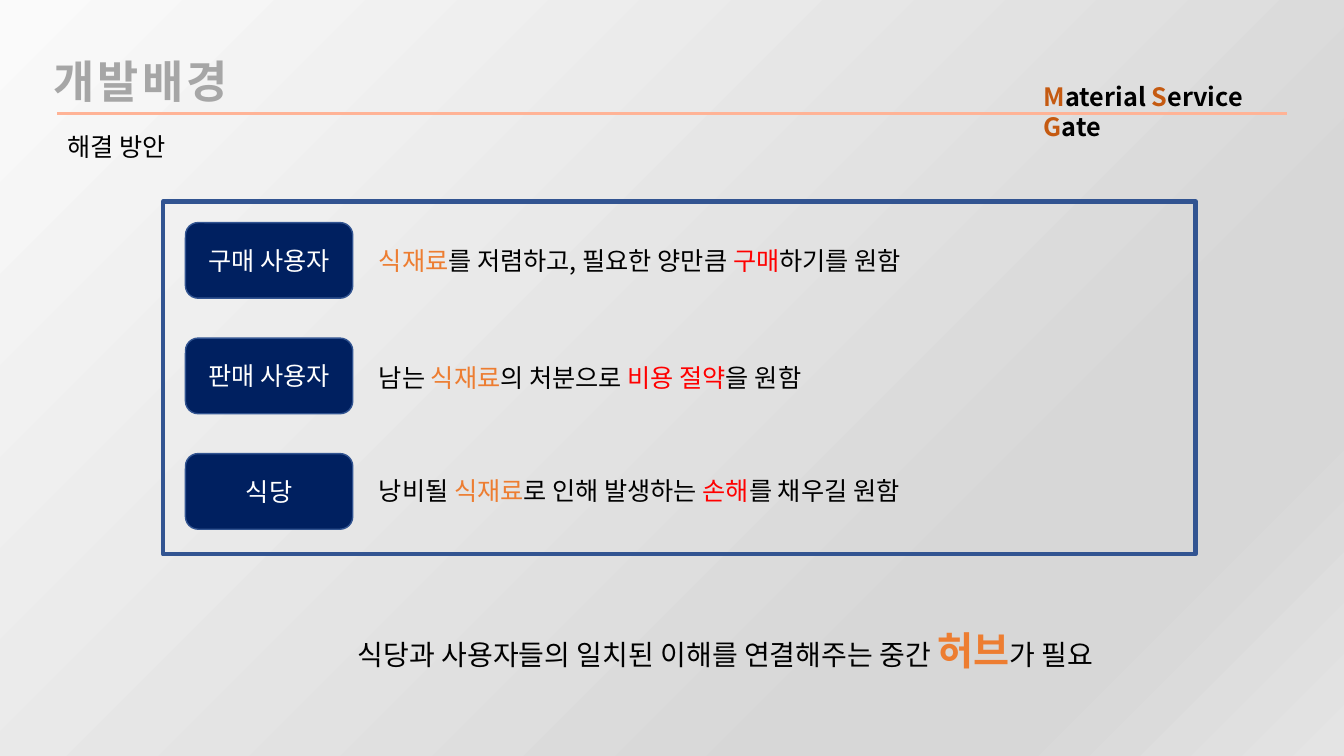
"""Build the slide on the background of the project and its proposed solution."""
from copy import deepcopy

from lxml.etree import SubElement
from pptx import Presentation
from pptx.dml.color import RGBColor
from pptx.enum.shapes import MSO_CONNECTOR, MSO_SHAPE
from pptx.enum.text import MSO_ANCHOR, MSO_AUTO_SIZE, PP_ALIGN
from pptx.oxml.ns import qn
from pptx.util import Pt

FONT = "Noto Sans CJK KR"
COLOURS = {
    "black": "000000",
    "white": "FFFFFF",
    "grey": "A6A6A6",
    "orange": "ED7D31",
    "rust": "C55A11",
    "red": "FF0000",
    "peach": "FFB396",
    "navy": "002060",
    "blue": "325491",
}
BACKGROUND_STOPS = [(0, "FAFAFA"), (74, "D7D7D7"), (83, "D7D7D7"), (100, "E4E4E4")]
FIRST_ROW_TOP, ROW_PITCH = 159, 82.5
ROWS = [
    ("구매 사용자", 171.4, [("식재료", "orange"), ("를 저렴하고, 필요한 양만큼 ", "black"),
                       ("구매", "red"), ("하기를 원함", "black")]),
    ("판매 사용자", 254.9, [("남는 ", "black"), ("식재료", "orange"), ("의 처분으로 ", "black"),
                       ("비용 절약", "red"), ("을 원함", "black")]),
    ("식당", 336.2, [("낭비될 ", "black"), ("식재료", "orange"), ("로 인해 발생하는 ", "black"),
                   ("손해", "red"), ("를 채우길 원함", "black")]),
]


def colour(name):
    """Return the named colour."""
    return RGBColor.from_string(COLOURS[name])


def paint_background(page):
    """Fill the page with a diagonal grey gradient."""
    fill = page.background.fill
    fill.gradient()
    fill.gradient_angle = 315
    stop_list = page.element.find(".//" + qn("a:gsLst"))
    for _ in range(len(BACKGROUND_STOPS) - len(stop_list)):
        stop_list.append(deepcopy(stop_list[0]))
    for stop, (percent, value) in zip(fill.gradient_stops, BACKGROUND_STOPS):
        stop.position = percent / 100
        stop.color.rgb = RGBColor.from_string(value)


def add_span(para, text, shade, size=18, bold=False):
    """Append one formatted run to a paragraph."""
    span = para.add_run()
    span.text = text
    span.font.size = Pt(size)
    span.font.bold = bold
    span.font.name = FONT
    span.font.color.rgb = colour(shade)
    SubElement(span.font._element, qn("a:ea"), typeface=FONT)


def add_text(page, left, top, width, height, spans):
    """Add a text box holding one line of formatted spans."""
    box = page.shapes.add_textbox(Pt(left), Pt(top), Pt(width), Pt(height))
    box.text_frame.word_wrap = True
    box.text_frame.auto_size = MSO_AUTO_SIZE.SHAPE_TO_FIT_TEXT
    para = box.text_frame.paragraphs[0]
    for span in spans:
        add_span(para, *span)


def add_rule(page, left, right, top):
    """Add the horizontal line under the title."""
    rule = page.shapes.add_connector(MSO_CONNECTOR.STRAIGHT, Pt(left), Pt(top), Pt(right), Pt(top))
    rule.line.color.rgb = colour("peach")
    rule.line.width = Pt(2.25)
    SubElement(rule.element.spPr, qn("a:effectLst"))


def add_outlined(page, kind, left, top, width, height, line_width):
    """Add an unfilled shape with a blue outline."""
    shape = page.shapes.add_shape(kind, Pt(left), Pt(top), Pt(width), Pt(height))
    shape.shadow.inherit = False
    shape.fill.background()
    shape.line.color.rgb = colour("blue")
    shape.line.width = Pt(line_width)
    return shape


def add_label(page, top, text):
    """Add a navy rounded label naming one party."""
    label = add_outlined(page, MSO_SHAPE.ROUNDED_RECTANGLE, 132.5, top, 119.5, 54, 1)
    label.fill.solid()
    label.fill.fore_color.rgb = colour("navy")
    label.text_frame.vertical_anchor = MSO_ANCHOR.MIDDLE
    para = label.text_frame.paragraphs[0]
    para.alignment = PP_ALIGN.CENTER
    add_span(para, text, "white")


def main():
    """Build and save the deck."""
    deck = Presentation()
    deck.slide_width, deck.slide_height = Pt(960), Pt(540)
    page = deck.slides.add_slide(deck.slide_layouts[6])
    paint_background(page)

    title = [("개", 32), (" ", 10), ("발", 32), (" ", 10), ("배", 32), (" ", 10), ("경", 32)]
    add_text(page, 31, 34.5, 381, 46, [(text, "grey", size, True) for text, size in title])
    add_rule(page, 41, 919.5, 81)
    add_text(page, 41, 90, 356, 29, [("해결 방안", "black")])

    for index, (name, text_top, spans) in enumerate(ROWS):
        add_label(page, FIRST_ROW_TOP + index * ROW_PITCH, name)
        add_text(page, 263.5, text_top, 475, 29, spans)
    add_outlined(page, MSO_SHAPE.RECTANGLE, 116.5, 144, 737.5, 252, 3)

    add_text(page, 248.5, 443.5, 640, 41, [
        ("식당과 사용자들의 일치된 이해를 연결해주는 중간 ", "black", 20),
        ("허브", "orange", 28, True),
        ("가 필요", "black", 20),
    ])
    project = [("M", "rust"), ("aterial ", "black"), ("S", "rust"),
               ("ervice ", "black"), ("G", "rust"), ("ate", "black")]
    add_text(page, 738.5, 54.7, 200, 29, [(text, shade, 18, True) for text, shade in project])

    deck.save("out.pptx")


if __name__ == "__main__":
    main()
